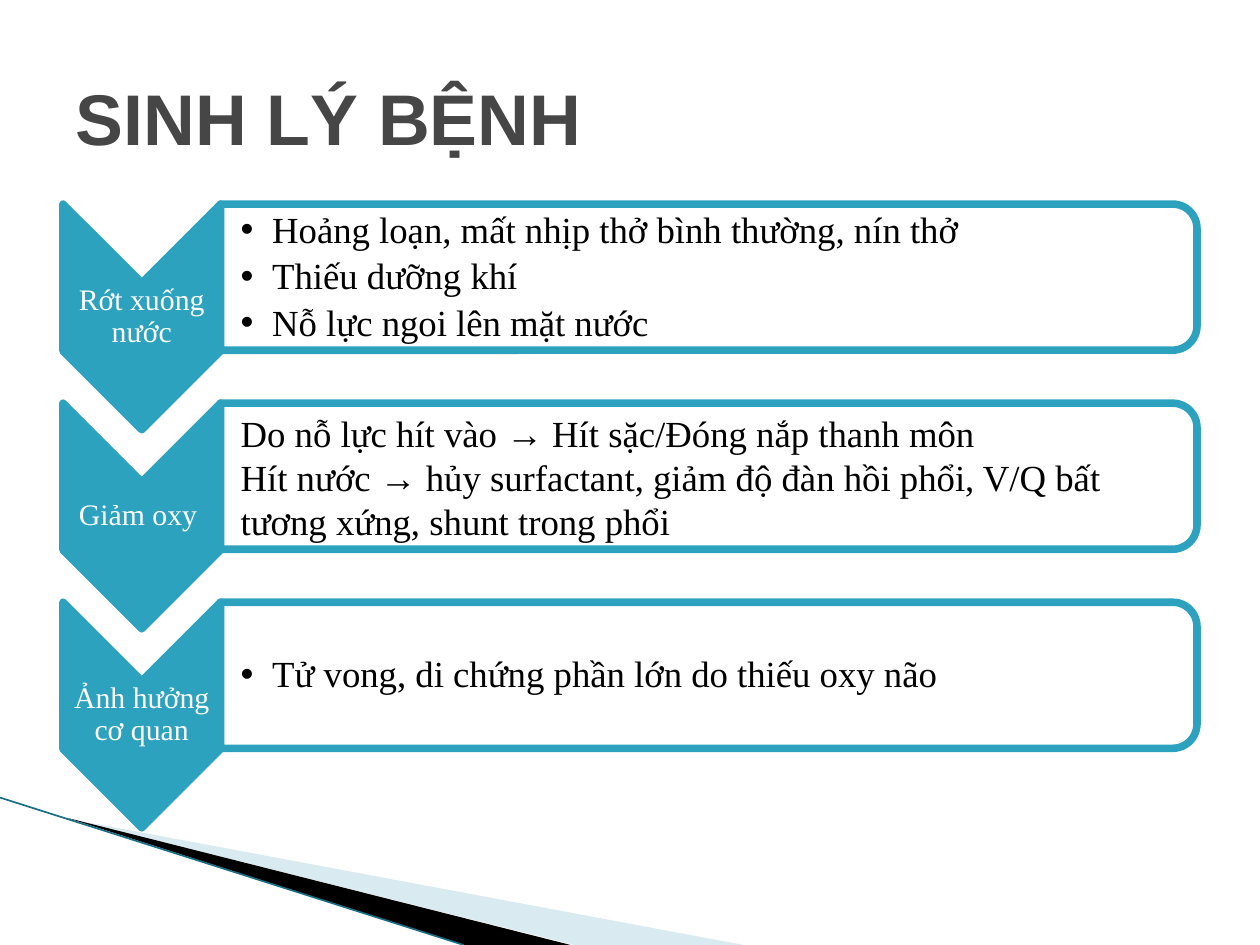
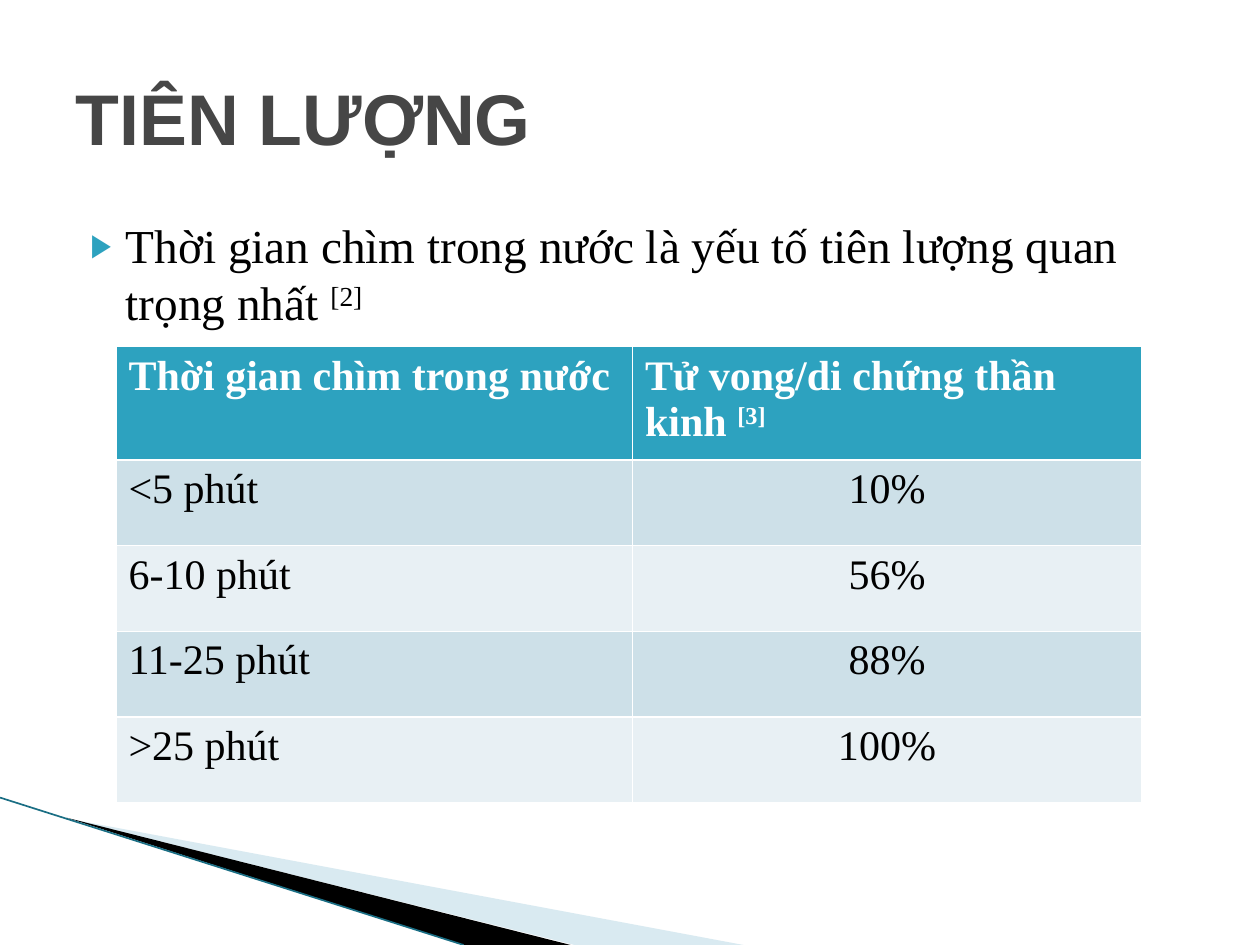
from dataclasses import dataclass
from lxml import etree
from pptx import Presentation
from pptx.dml.color import RGBColor
from pptx.enum import shapes, text
from pptx.oxml import ns
from pptx.util import Inches, Pt

TITLES = ("SINH LÝ BỆNH", "TIÊN LƯỢNG")

# label, bulleted?, lines
STAGES = [
    ("Rớt xuống nước", True, [
        "Hoảng loạn, mất nhịp thở bình thường, nín thở",
        "Thiếu dưỡng khí",
        "Nỗ lực ngoi lên mặt nước"]),
    ("Giảm oxy ", False, [
        "Do nỗ lực hít vào → Hít sặc/Đóng nắp thanh môn",
        "Hít nước → hủy surfactant, giảm độ đàn hồi phổi, V/Q bất "
        "tương xứng, shunt trong phổi"]),
    ("Ảnh hưởng cơ quan", True, [
        "Tử vong, di chứng phần lớn do thiếu oxy não"]),
]

# text, superscript reference
KEY_POINT = ("Thời gian chìm trong nước là yếu tố tiên lượng quan trọng nhất ", "[2]")
OUTCOMES = [
    (("Thời gian chìm trong nước", ""), ("Tử vong/di chứng thần kinh ", "[3]")),
    (("<5 phút", ""), ("10%", "")),
    (("6-10 phút", ""), ("56%", "")),
    (("11-25 phút", ""), ("88%", "")),
    ((">25 phút", ""), ("100%", "")),
]

# points, fill colour, opacity in percent
WEDGES = [
    ([(0.55, 6.5), (5.9, 7.5), (4.56, 7.5)], "A0CBDC", 40),
    ([(0.53, 6.49), (4.53, 7.5), (3.68, 7.5)], "000000", 100),
]


@dataclass(frozen=True)
class Theme:
    accent: str = "2DA2BF"
    edge: str = "1A6E84"
    heading: str = "464646"
    ink: str = "000000"
    paper: str = "FFFFFF"
    bands: tuple = ("E8F0F4", "CDE0E8")
    head_font: str = "Arial"
    body_font: str = "Times New Roman"
    title: int = 41
    key_point: int = 27
    table: int = 24
    stage: int = 21
    label: int = 17
    outline: float = 4.33


T = Theme()
ALIGN = text.PP_ALIGN
SHAPE = shapes.MSO_SHAPE


def rgb(value):
    return RGBColor.from_string(value)


def sub(parent, tag, **attrs):
    return etree.SubElement(parent, ns.qn(tag), attrs)


def paint(sp, color, opacity=100, line=None):
    sp.shadow.inherit = False
    sp.fill.solid()
    sp.fill.fore_color.rgb = rgb(color)
    if opacity < 100:
        fill = sp._element.spPr.find(ns.qn("a:solidFill"))
        sub(fill[0], "a:alpha", val=str(opacity * 1000))
    if line:
        sp.line.color.rgb = rgb(line)
        sp.line.width = Pt(T.outline)
    else:
        sp.line.fill.background()


def write(p, content, *, size, color=T.ink, font=T.body_font, bold=False,
          align=ALIGN.LEFT, ref="", spacing=None, after=0):
    """Fill a paragraph; ref is appended as a superscript."""
    p.alignment = align
    p.space_before = Pt(0)
    p.space_after = Pt(after)
    if spacing:
        p.line_spacing = spacing
    for part, raised in ((content, False), (ref, True)):
        if not part:
            continue
        r = p.add_run()
        r.text = part
        r.font.size, r.font.bold, r.font.name = Pt(size), bold, font
        r.font.color.rgb = rgb(color)
        if raised:
            r.font._element.set("baseline", "30000")


def add_bullet(p, char, indent, hang, color=None, percent=None):
    pPr = p._p.get_or_add_pPr()
    pPr.set("marL", str(Inches(indent)))
    pPr.set("indent", str(-Inches(hang)))
    if color:
        sub(sub(pPr, "a:buClr"), "a:srgbClr", val=color)
    if percent:
        sub(pPr, "a:buSzPct", val=str(percent * 1000))
    sub(pPr, "a:buFont", typeface=T.head_font)
    sub(pPr, "a:buChar", char=char)


def add_box(s, x, y, w, h, anchor=text.MSO_ANCHOR.MIDDLE, insets=(0.01,) * 4):
    tf = s.shapes.add_textbox(Inches(x), Inches(y), Inches(w), Inches(h)).text_frame
    tf.word_wrap = True
    tf.vertical_anchor = anchor
    tf.margin_left, tf.margin_top, tf.margin_right, tf.margin_bottom = map(Inches, insets)
    return tf


def add_turned(s, kind, x, y, w, h):
    """Add a shape turned by 90 degrees that covers the given area."""
    sp = s.shapes.add_shape(kind, Inches(x + (w - h) / 2), Inches(y + (h - w) / 2),
                            Inches(h), Inches(w))
    sp.rotation = 90
    return sp


def add_slide(prs, title):
    """Add a slide with the shared corner wedges and title style."""
    s = prs.slides.add_slide(prs.slide_layouts[5])
    for points, color, opacity in WEDGES:
        start, *rest = [(Inches(x), Inches(y)) for x, y in points]
        builder = s.shapes.build_freeform(*start)
        builder.add_line_segments(rest)
        paint(builder.convert_to_shape(), color, opacity)
    edge = s.shapes.add_connector(shapes.MSO_CONNECTOR.STRAIGHT, 0, Inches(6.33),
                                  Inches(3.68), Inches(7.5))
    edge.line.color.rgb = rgb(T.edge)
    edge.line.width = Pt(0.95)
    sub(edge._element.spPr, "a:effectLst")

    sp = s.shapes.title
    sp.left, sp.top, sp.width, sp.height = map(Inches, (0.5, 0.3, 9, 1.25))
    sp.text_frame.vertical_anchor = text.MSO_ANCHOR.MIDDLE
    write(sp.text_frame.paragraphs[0], title, size=T.title, color=T.heading,
          font=T.head_font, bold=True)
    return s


def add_stages(s):
    left, top, pitch = 0.5, 1.62, 1.58
    arrow_w, arrow_h, panel_w, panel_h = 1.25, 1.79, 7.75, 1.16
    panel_x = left + arrow_w
    for i, (label, bulleted, lines) in enumerate(STAGES):
        y = top + i * pitch
        arrow = add_turned(s, SHAPE.CHEVRON, left, y, arrow_w, arrow_h)
        paint(arrow, T.accent, line=T.accent)
        tf = add_box(s, left, y + arrow_w / 2, arrow_w, arrow_h - arrow_w)
        write(tf.paragraphs[0], label, size=T.label, color=T.paper,
              align=ALIGN.CENTER, spacing=0.9)

        panel = add_turned(s, SHAPE.ROUND_2_SAME_RECTANGLE, panel_x, y, panel_w, panel_h)
        paint(panel, T.paper, 90, T.accent)
        tf = add_box(s, panel_x, y + 0.06, panel_w - 0.06, panel_h - 0.11,
                     insets=(0.16, 0.01, 0.01, 0.01))
        for n, line in enumerate(lines):
            p = tf.add_paragraph() if n else tf.paragraphs[0]
            if bulleted:
                add_bullet(p, "•", 0.25, 0.25)
            write(p, line, size=T.stage, spacing=0.9 if bulleted else None,
                  after=4 if bulleted else 0)


def add_key_point(s):
    tf = add_box(s, 0.5, 1.67, 9, 1.05, text.MSO_ANCHOR.TOP, (0.1, 0.05, 0.1, 0.05))
    p = tf.paragraphs[0]
    add_bullet(p, "▶", 0.4, 0.28, T.accent, 68)
    content, ref = KEY_POINT
    write(p, content, ref=ref, size=T.key_point)


def add_outcomes(s):
    widths, row_h, head_h = (4.1, 4.04), 0.68, 0.82
    rows = len(OUTCOMES)
    table = s.shapes.add_table(rows, len(widths), Inches(0.92), Inches(2.75),
                               Inches(sum(widths)),
                               Inches(head_h + row_h * (rows - 1))).table
    for col, w in zip(table.columns, widths):
        col.width = Inches(w)
    for i, row in enumerate(OUTCOMES):
        head = i == 0
        table.rows[i].height = Inches(head_h if head else row_h)
        for j, (content, ref) in enumerate(row):
            cell = table.cell(i, j)
            cell.fill.solid()
            cell.fill.fore_color.rgb = rgb(T.accent if head else T.bands[i % 2])
            write(cell.text_frame.paragraphs[0], content, ref=ref, size=T.table,
                  color=T.paper if head else T.ink, bold=head,
                  align=ALIGN.CENTER if j and not head else ALIGN.LEFT)


def main():
    prs = Presentation()
    prs.slide_width, prs.slide_height = Inches(10), Inches(7.5)
    pathology, prognosis = [add_slide(prs, title) for title in TITLES]
    add_stages(pathology)
    add_key_point(prognosis)
    add_outcomes(prognosis)
    prs.save("out.pptx")


if __name__ == "__main__":
    main()
